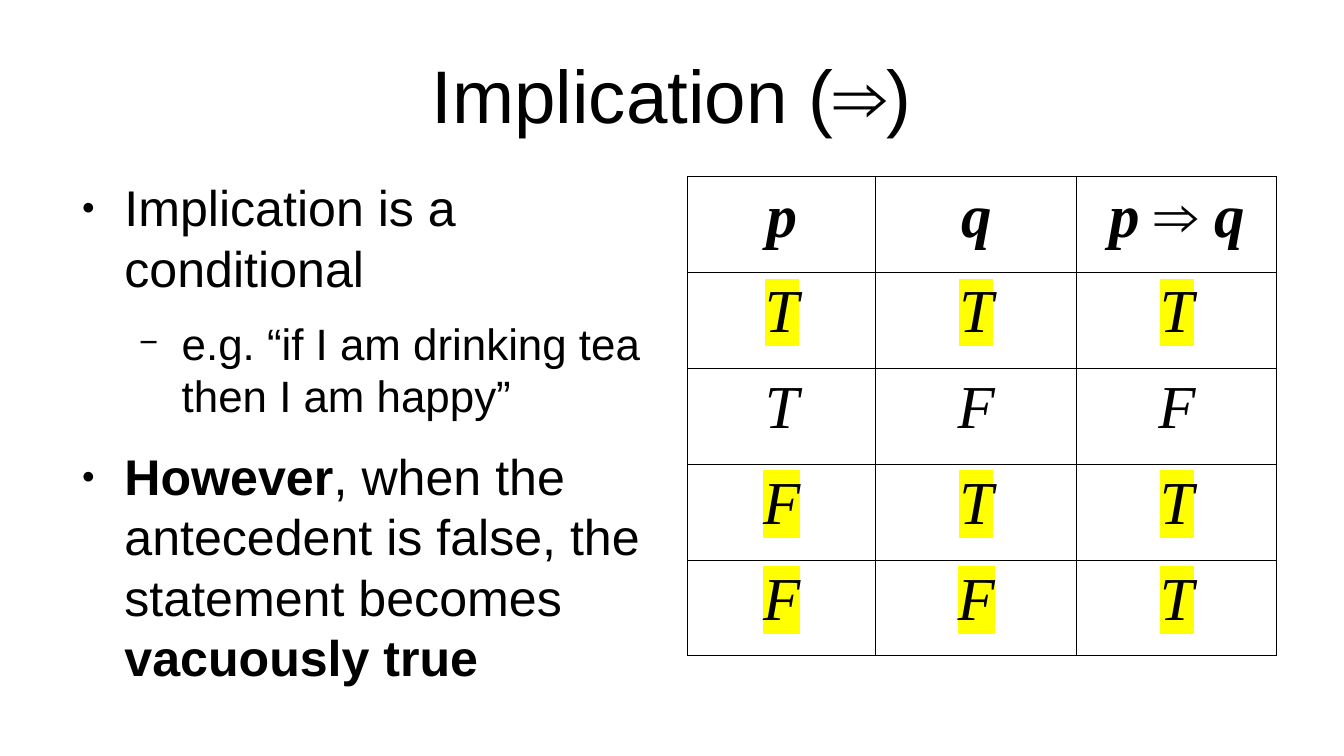
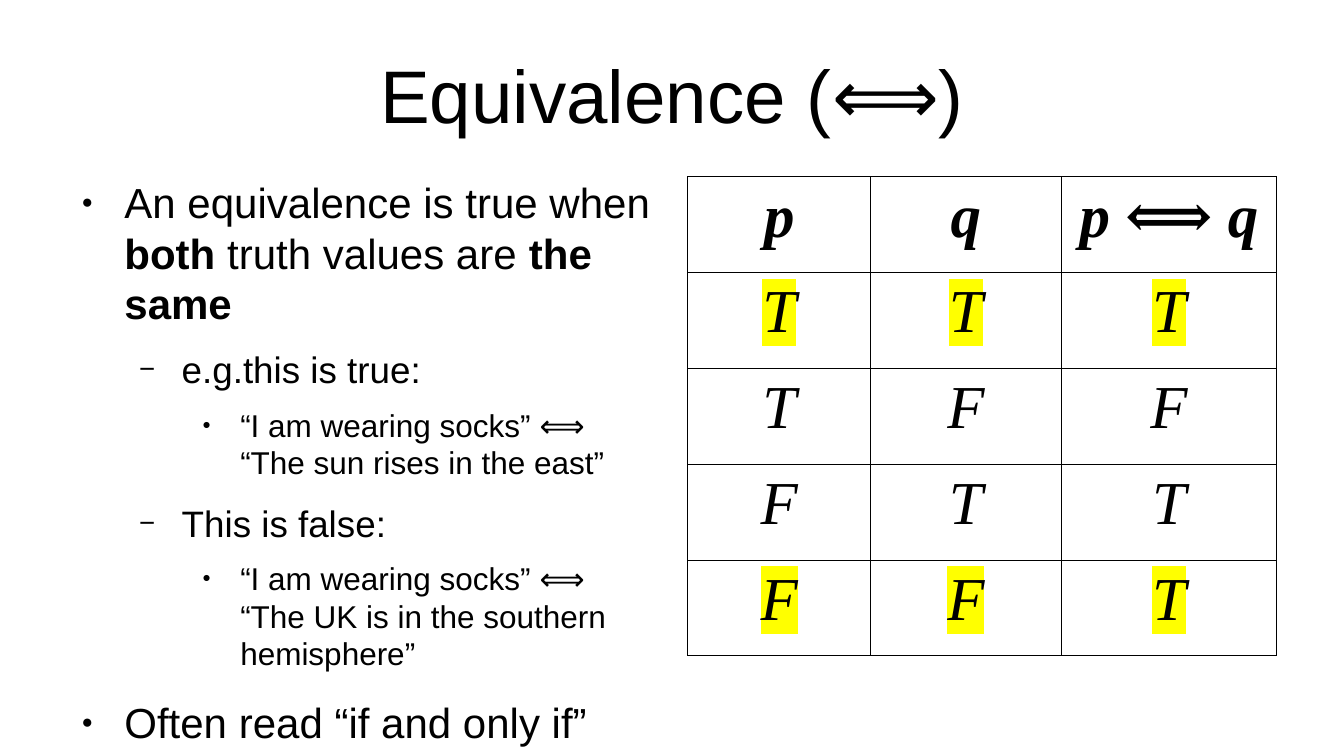
from lxml import etree
from pptx import Presentation
from pptx.dml.color import RGBColor
from pptx.enum.text import MSO_ANCHOR, MSO_AUTO_SIZE, PP_ALIGN
from pptx.oxml.ns import qn
from pptx.util import Inches, Pt

CENTER, LEFT = PP_ALIGN.CENTER, PP_ALIGN.LEFT
TOP, MIDDLE = MSO_ANCHOR.TOP, MSO_ANCHOR.MIDDLE
NO_FIT = MSO_AUTO_SIZE.NONE
BLACK = RGBColor(0x00, 0x00, 0x00)
WHITE = RGBColor(0xFF, 0xFF, 0xFF)
YELLOW = RGBColor(0xFF, 0xFF, 0x00)
TEXT_FONT, MATH_FONT = "Arial", "Times New Roman"

TITLE_BOX = (0.55, 0.25, 9.92, 1.04)
BODY_BOX = (0.55, 1.45, 4.84, 3.6)
TABLE_LEFT, TABLE_TOP, TABLE_HEIGHT = 5.64, 1.45, 3.93
BORDER = Pt(0.57)

# One entry per outline level: left margin, hanging indent, space before,
# bullet character, bullet size in percent
LEVELS = [
    (0.47, 0.35, 14.2, "●", 45),
    (0.94, 0.35, 11.3, "−", 75),
    (1.42, 0.31, 8.5, "●", 45),
]

# Body items are (level, runs), where every second run is bold.
# Table rows are (values, highlighted).
SLIDES = [
    {
        "title": "Implication (⇒)",
        "sizes": (29.6, 25.9),
        "body": [
            (0, ["Implication is a conditional"]),
            (1, ["e.g. “if I am drinking tea then I am happy”"]),
            (0, ["", "However", ", when the antecedent is false, the statement becomes ",
                 "vacuously true"]),
        ],
        "columns": (1.54, 1.65, 1.64),
        "header": ("p", "q", "p ⇒ q"),
        "rows": [("TTT", True), ("TFF", False), ("FTT", True), ("FFT", True)],
    },
    {
        "title": "Equivalence (⟺)",
        "sizes": (24.8, 21.7, 18.6),
        "body": [
            (0, ["An equivalence is true when ", "both", " truth values are ", "the same"]),
            (1, ["e.g.this is true:"]),
            (2, ["“I am wearing socks” ⟺ “The sun rises in the east”"]),
            (1, ["This is false:"]),
            (2, ["“I am wearing socks” ⟺ “The UK is in the southern hemisphere”"]),
            (0, ["Often read “if and only if”"]),
        ],
        "columns": (1.5, 1.56, 1.77),
        "header": ("p", "q", "p ⟺ q"),
        "rows": [("TTT", True), ("TFF", False), ("FTT", False), ("FFT", True)],
    },
]


def add_run(p, text, size, font=TEXT_FONT, bold=False, italic=False):
    r = p.add_run()
    r.text = text
    r.font.size, r.font.name = Pt(size), font
    r.font.bold, r.font.italic = bold, italic
    r.font.color.rgb = BLACK
    return r


def add_color(parent, color):
    fill = etree.SubElement(parent, qn("a:solidFill"))
    etree.SubElement(fill, qn("a:srgbClr"), val=str(color))


def highlight(r):
    mark = etree.Element(qn("a:highlight"))
    etree.SubElement(mark, qn("a:srgbClr"), val=str(YELLOW))
    r.font._element.find(qn("a:solidFill")).addnext(mark)


def set_level(p, level):
    """Give a paragraph the spacing, indent and bullet of its outline level."""
    margin, hang, before, char, percent = LEVELS[level]
    p.level, p.alignment = level, LEFT
    p.line_spacing, p.space_before, p.space_after = 1.0, Pt(before), Pt(0)
    pPr = p._p.get_or_add_pPr()
    pPr.set("marL", str(Inches(margin)))
    pPr.set("indent", str(-Inches(hang)))
    color = etree.SubElement(pPr, qn("a:buClr"))
    etree.SubElement(color, qn("a:srgbClr"), val=str(BLACK))
    etree.SubElement(pPr, qn("a:buSzPct"), val=str(percent * 1000))
    etree.SubElement(pPr, qn("a:buFont"), typeface=TEXT_FONT)
    etree.SubElement(pPr, qn("a:buChar"), char=char)


def set_borders(cell):
    tcPr = cell._tc.get_or_add_tcPr()
    for i, side in enumerate(("lnL", "lnR", "lnT", "lnB")):
        line = etree.Element(qn(f"a:{side}"), w=str(BORDER))
        add_color(line, BLACK)
        tcPr.insert(i, line)


def place(sp, box, anchor):
    """Move a placeholder and return its text frame without insets."""
    sp.left, sp.top, sp.width, sp.height = map(Inches, box)
    tf = sp.text_frame
    tf.margin_left = tf.margin_right = tf.margin_top = tf.margin_bottom = 0
    tf.word_wrap, tf.auto_size, tf.vertical_anchor = True, NO_FIT, anchor
    return tf


def add_body(sp, items, sizes):
    tf = place(sp, BODY_BOX, TOP)
    for i, (level, runs) in enumerate(items):
        p = tf.add_paragraph() if i else tf.paragraphs[0]
        set_level(p, level)
        for j, text in enumerate(runs):
            if text:
                add_run(p, text, sizes[level], bold=j % 2 == 1)


def add_truth_table(s, columns, header, rows):
    lines = [(header, False)] + rows
    frame = s.shapes.add_table(
        len(lines), len(columns), Inches(TABLE_LEFT), Inches(TABLE_TOP),
        Inches(sum(columns)), Inches(TABLE_HEIGHT))
    table = frame.table
    table.first_row = table.horz_banding = False
    for column, width in zip(table.columns, columns):
        column.width = Inches(width)
    for i, (values, marked) in enumerate(lines):
        table.rows[i].height = Inches(TABLE_HEIGHT / len(lines))
        for j, value in enumerate(values):
            cell = table.cell(i, j)
            cell.fill.solid()
            cell.fill.fore_color.rgb = WHITE
            set_borders(cell)
            p = cell.text_frame.paragraphs[0]
            p.alignment = CENTER
            r = add_run(p, value, 36, MATH_FONT, bold=i == 0, italic=True)
            if marked:
                highlight(r)


def main():
    prs = Presentation()
    prs.slide_width, prs.slide_height = Inches(11.02), Inches(6.2)
    layout = prs.slide_layouts.get_by_name("Title and Content")
    for data in SLIDES:
        s = prs.slides.add_slide(layout)
        p = place(s.shapes.title, TITLE_BOX, MIDDLE).paragraphs[0]
        p.alignment = CENTER
        add_run(p, data["title"], 44)
        add_body(s.placeholders[1], data["body"], data["sizes"])
        add_truth_table(s, data["columns"], data["header"], data["rows"])
    prs.save("out.pptx")


if __name__ == "__main__":
    main()
